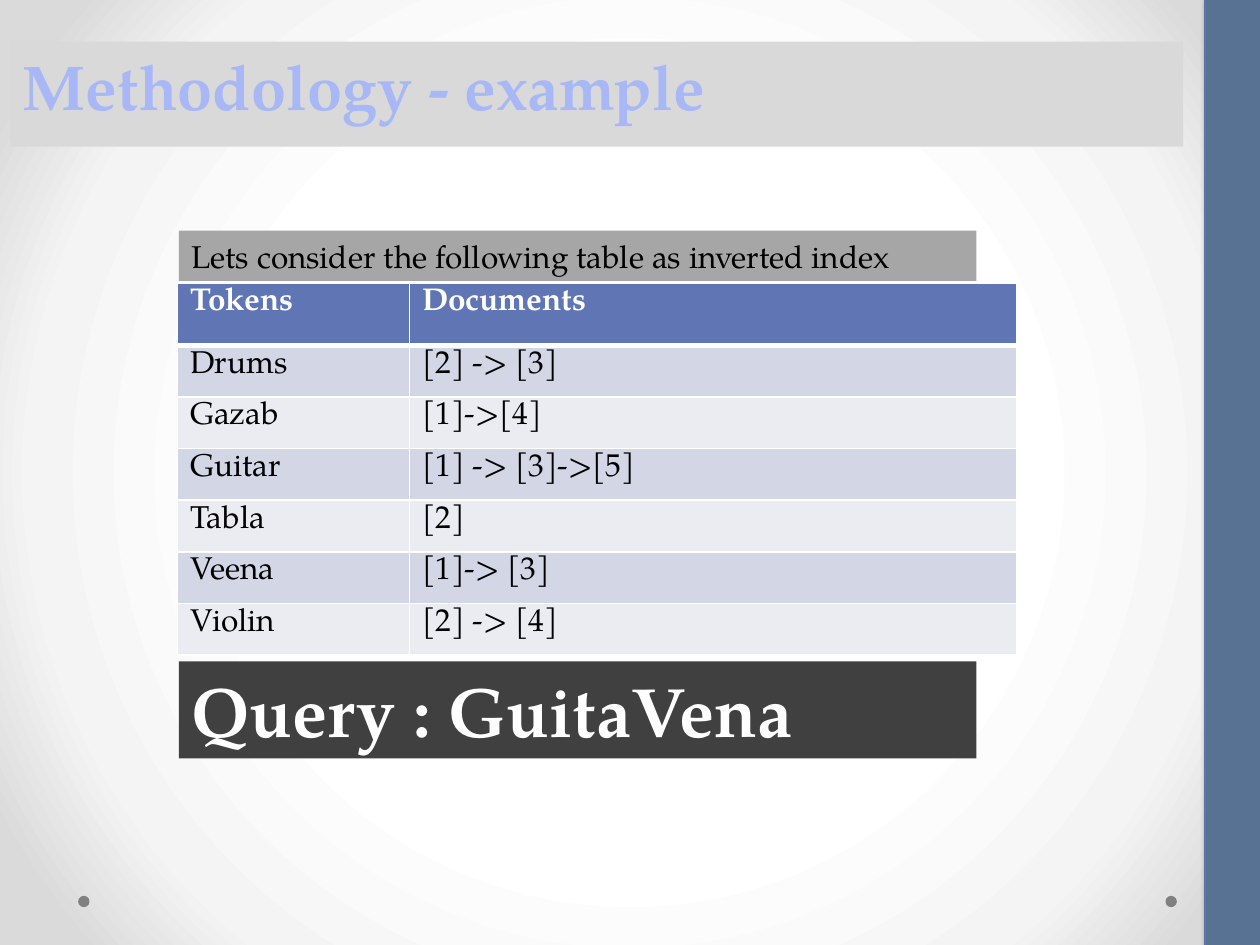
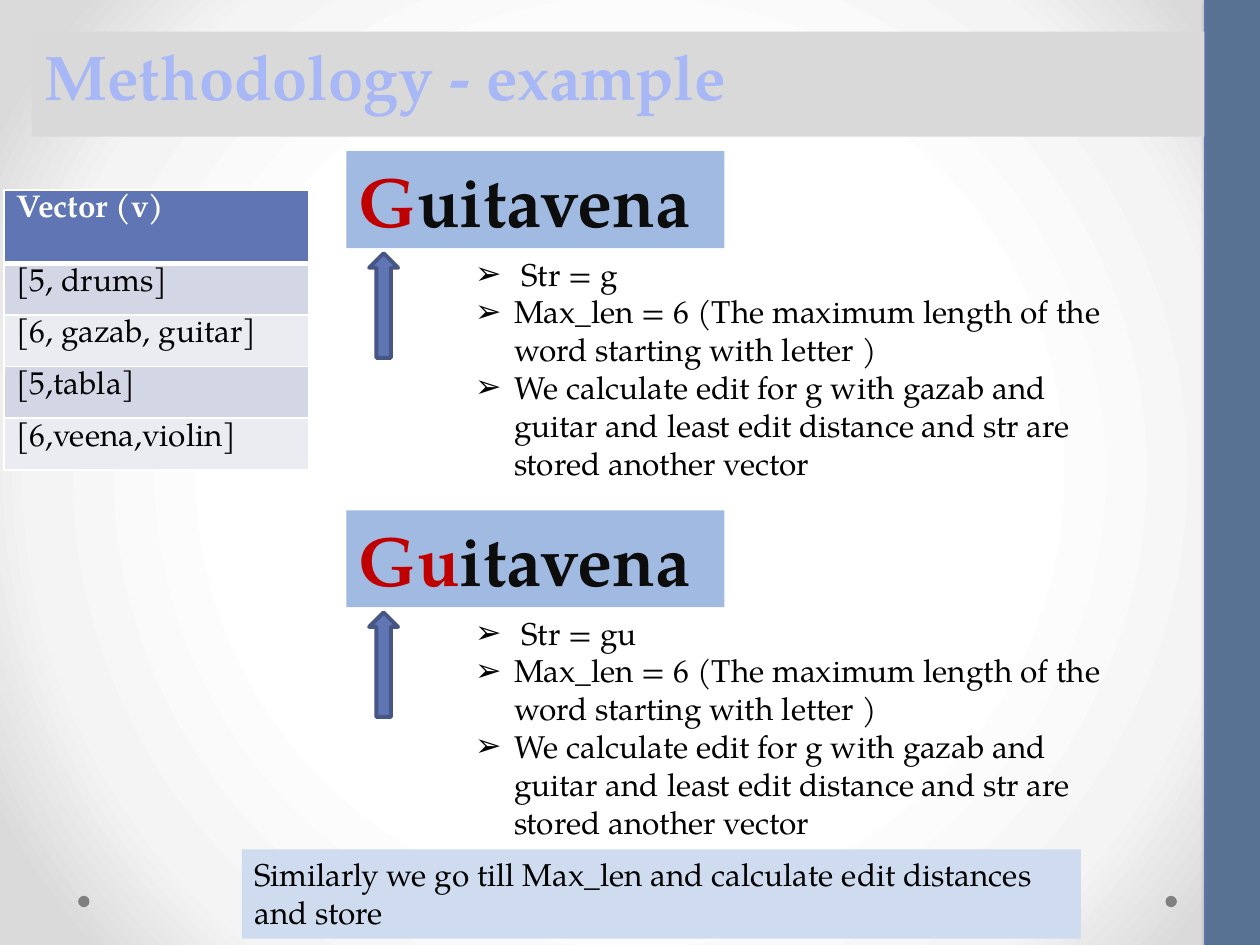
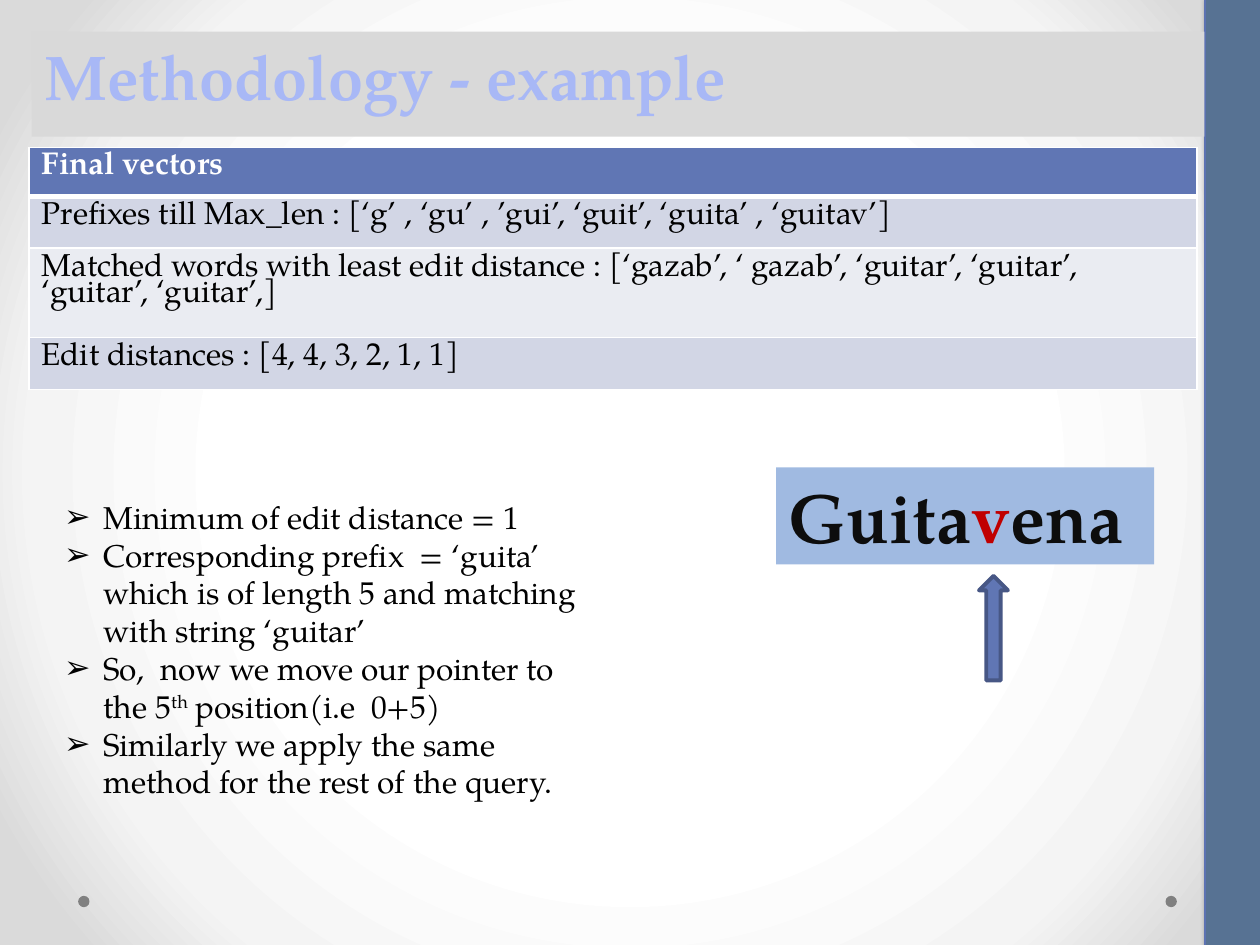
from dataclasses import dataclass

from pptx import Presentation
from pptx.dml.color import RGBColor
from pptx.enum.shapes import MSO_SHAPE
from pptx.enum.text import MSO_ANCHOR, MSO_AUTO_SIZE, PP_ALIGN
from pptx.oxml import parse_xml
from pptx.oxml.ns import nsdecls, qn
from pptx.util import Emu, Inches, Pt


@dataclass(frozen=True)
class Theme:
    font: str = "TeX Gyre Pagella"
    title_size: int = 36
    word_size: int = 40
    body_size: int = 18
    black: str = "000000"
    white: str = "FFFFFF"
    ink: str = "0D0D0D"
    red: str = "C00000"
    title_fill: str = "D9D9D9"
    title_outline: str = "576EAE"
    caption_fill: str = "A6A6A6"
    query_fill: str = "404040"
    word_fill: str = "A0BAE1"
    note_fill: str = "CFDCF0"
    accent: str = "6076B4"
    arrow_line: str = "475785"
    rows: tuple = ("D2D6E5", "EAECF2")
    band: str = "577293"
    band_line: str = "5C72B2"
    dot: str = "808080"
    backdrop: tuple = ((50, "FFFFFF"), (76, "F4F4F4"), (92, "DADADA"))
    title_grad: tuple = ((0, "C4CEF3"), (9, "A8B8F6"), (50, "062783"),
                         (79, "A8B8F6"), (100, "C4CEF3"))


T = Theme()

# ---- Content ----
TITLE = "Methodology - example"
CAPTION = "Lets consider the following table as inverted index"
QUERY = "Query : GuitaVena"
INDEX = [
    ("Tokens", "Documents"),
    ("Drums", "[2] -> [3]"),
    ("Gazab", "[1]->[4]"),
    ("Guitar", "[1] -> [3]->[5]"),
    ("Tabla", "[2]"),
    ("Veena", "[1]-> [3]"),
    ("Violin", "[2] -> [4]"),
]
VECTOR = [("Vector (v)",), ("[5, drums]",), ("[6, gazab, guitar]",),
          ("[5,tabla]",), ("[6,veena,violin]",)]
PREFIXES = [("G", "uitavena"), ("Gu", "itavena")]
STEP_NOTES = [
    "Max_len = 6 (The maximum length of the word starting with letter )",
    "We calculate edit for g with gazab and guitar and least edit distance "
    "and str are stored another vector",
]
NOTE = "Similarly we go till Max_len and calculate edit distances and store"
FINAL = [
    ("Final vectors",),
    ("Prefixes till Max_len : [‘g’ , ‘gu’ , ’gui’, ‘guit’, ‘guita’ , ‘guitav’]",),
    ("Matched words with least edit distance : [‘gazab’, ‘ gazab’, ‘guitar’, "
     "‘guitar’, ‘guitar’, ‘guitar’,]",),
    ("Edit distances : [4, 4, 3, 2, 1, 1]",),
]
# A tuple holds runs: normal, superscript, normal
CONCLUSIONS = [
    "Minimum of edit distance = 1",
    "Corresponding prefix  = ‘guita’ which is of length 5 and matching with "
    "string ‘guitar’",
    ("So,  now we move our pointer to the 5", "th", " position(i.e  0+5)"),
    "Similarly we apply the same method for the rest of the query.",
]


# ---- Helpers ----
def rgb(color):
    return RGBColor.from_string(color)


def gradient(stops, shade):
    gs = "".join(f'<a:gs pos="{pos * 1000}"><a:srgbClr val="{c}"/></a:gs>'
                 for pos, c in stops)
    return parse_xml(f'<a:gradFill {nsdecls("a")}><a:gsLst>{gs}</a:gsLst>'
                     f'{shade}</a:gradFill>')


def line(tag, color, width):
    return parse_xml(f'<a:{tag} {nsdecls("a")} w="{Pt(width)}"><a:solidFill>'
                     f'<a:srgbClr val="{color}"/></a:solidFill></a:{tag}>')


def add_run(p, text, size, color, bold=False):
    r = p.add_run()
    r.text = text
    r.font.name, r.font.size, r.font.bold = T.font, Pt(size), bold
    r.font.color.rgb = rgb(color)
    return r


def place(sp, x, y, w, h):
    sp.left, sp.top, sp.width, sp.height = map(Inches, (x, y, w, h))


def frame(sp):
    tf = sp.text_frame
    tf.word_wrap = True
    tf.auto_size = MSO_AUTO_SIZE.SHAPE_TO_FIT_TEXT
    tf.vertical_anchor = MSO_ANCHOR.TOP
    tf.paragraphs[0].alignment = PP_ALIGN.LEFT
    return tf


def add_shape(s, kind, x, y, w, h, fill, outline=None, width=0):
    sp = s.shapes.add_shape(kind, *map(Inches, (x, y, w, h)))
    sp.shadow.inherit = False
    sp.fill.solid()
    sp.fill.fore_color.rgb = rgb(fill)
    if outline:
        sp.line.color.rgb = rgb(outline)
        sp.line.width = Pt(width)
    else:
        sp.line.fill.background()
    return sp


def add_label(s, box, fill, runs, size, bold=False):
    sp = add_shape(s, MSO_SHAPE.RECTANGLE, *box, fill)
    p = frame(sp).paragraphs[0]
    for text, color in runs:
        add_run(p, text, size, color, bold)


def add_word(s, x, y, runs):
    add_label(s, (x, y, 3, 0.77), T.word_fill, runs, T.word_size, True)


def add_pointer(s, x, y):
    sp = add_shape(s, MSO_SHAPE.RIGHT_ARROW, x, y, 0.83, 0.23,
                   T.accent, T.arrow_line, 2.25)
    sp.rotation = 270


def fill_list(body, box, items):
    place(body, *box)
    tf = frame(body)
    for i, item in enumerate(items):
        p = tf.add_paragraph() if i else tf.paragraphs[0]
        p.space_before = Pt(0)
        pPr = p._p.get_or_add_pPr()
        pPr.set("marL", str(Inches(0.31)))
        pPr.set("indent", str(-Inches(0.31)))
        pPr.append(parse_xml(f'<a:buChar {nsdecls("a")} char="➢"/>'))
        for j, text in enumerate((item,) if isinstance(item, str) else item):
            r = add_run(p, text, T.body_size, T.black)
            if j == 1:
                r._r.get_or_add_rPr().set("baseline", "30000")


def add_table(s, x, y, cols, heights, rows):
    table = s.shapes.add_table(
        len(rows), len(cols), Inches(x), Inches(y),
        Inches(sum(cols)), Inches(sum(heights))).table
    for col, w in zip(table.columns, cols):
        col.width = Inches(w)
    for i, (values, h) in enumerate(zip(rows, heights)):
        table.rows[i].height = Inches(h)
        head = i == 0
        for j, text in enumerate(values):
            cell = table.cell(i, j)
            cell.fill.solid()
            cell.fill.fore_color.rgb = rgb(T.accent if head else T.rows[(i - 1) % 2])
            p = cell.text_frame.paragraphs[0]
            p.line_spacing = 0.85
            add_run(p, text, T.body_size, T.white if head else T.black, head)
            widths = {"lnL": 1, "lnR": 1, "lnT": 3 if i == 1 else 1,
                      "lnB": 3 if head else 1}
            tcPr = cell._tc.get_or_add_tcPr()
            for k, (tag, width) in enumerate(widths.items()):
                tcPr.insert(k, line(tag, T.white, width))


def add_slide(prs, layout, x, y):
    s = prs.slides.add_slide(prs.slide_layouts[layout])
    title = s.shapes.title
    place(title, x, y, 9.31, 0.71)
    title.fill.solid()
    title.fill.fore_color.rgb = rgb(T.title_fill)
    r = add_run(frame(title).paragraphs[0], TITLE, T.title_size, T.black, True)
    rPr = r._r.get_or_add_rPr()
    rPr.replace(rPr.find(qn("a:solidFill")),
                gradient(T.title_grad, '<a:lin ang="5400000" scaled="0"/>'))
    rPr.insert(0, line("ln", T.title_outline, 0.83))
    return s


def dress_master(master, s):
    """Give the master its backdrop, side band and corner dots."""
    master.background.fill.solid()
    solid = master.element.find(".//" + qn("p:bgPr")).find(qn("a:solidFill"))
    solid.getparent().replace(solid, gradient(
        T.backdrop, '<a:path path="circle"><a:fillToRect l="50000" t="50000" '
                    'r="50000" b="50000"/></a:path>'))
    parts = [add_shape(s, MSO_SHAPE.OVAL, x, 7.11, 0.09, 0.09, T.dot)
             for x in (9.25, 0.62)]
    band = add_shape(s, MSO_SHAPE.RECTANGLE, 6.02, 3.52, 7.53, 0.44,
                     T.band, T.band_line, 0.75)
    band.rotation = 270
    band.element.spPr.find(qn("a:effectLst")).append(parse_xml(
        f'<a:outerShdw {nsdecls("a")} blurRad="{Pt(3.1)}" dist="{Pt(1.6)}" '
        'dir="5400000" rotWithShape="0"><a:srgbClr val="000000">'
        '<a:alpha val="38000"/></a:srgbClr></a:outerShdw>'))
    # Shapes can only be made on a slide, so they are moved to the master
    for n, sp in enumerate(parts + [band], start=100):
        sp.element.nvSpPr.cNvPr.set("id", str(n))
        master.shapes.element.append(sp.element)


prs = Presentation()
prs.slide_width, prs.slide_height = Inches(10), Inches(7.5)
TITLE_ONLY, TWO_LISTS, ONE_LIST = 5, 3, 1

# ---- Slide 1: inverted index ----
s = add_slide(prs, TITLE_ONLY, 0.08, 0.33)
dress_master(prs.slide_master, s)
add_table(s, 1.41, 2.25, [1.84, 4.82], [0.49] + [0.41] * 6, INDEX)
add_label(s, (1.42, 1.83, 6.33, 0.4), T.caption_fill,
          [(CAPTION, T.black)], T.body_size)
add_label(s, (1.42, 5.25, 6.33, 0.77), T.query_fill,
          [(QUERY, T.white)], T.word_size, True)

# ---- Slide 2: prefixes of the query ----
s = add_slide(prs, TWO_LISTS, 0.25, 0.25)
add_table(s, 0.03, 1.51, [2.42], [0.58] + [0.41] * 4, VECTOR)
for i, (prefix, rest) in enumerate(PREFIXES):
    y = 1.2 + 2.85 * i
    add_word(s, 2.75, y, [(prefix, T.red), (rest, T.ink)])
    add_pointer(s, 2.63, y + 1.11)
    fill_list(s.placeholders[i + 1], (3.67, y + 0.77, 5.17, 1.92),
              [f" Str = {prefix.lower()}"] + STEP_NOTES)
add_label(s, (1.92, 6.74, 6.66, 0.71), T.note_fill,
          [(NOTE, T.black)], T.body_size)

# ---- Slide 3: final vectors ----
s = add_slide(prs, ONE_LIST, 0.25, 0.25)
add_word(s, 6.16, 3.71, [("Guita", T.ink), ("v", T.red), ("ena", T.ink)])
add_pointer(s, 7.47, 4.87)
add_table(s, 0.23, 1.17, [9.27], [0.39, 0.41, 0.71, 0.41], FINAL)
fill_list(s.placeholders[1], (0.41, 3.9, 4.49, 2.52), CONCLUSIONS)

prs.save("out.pptx")
